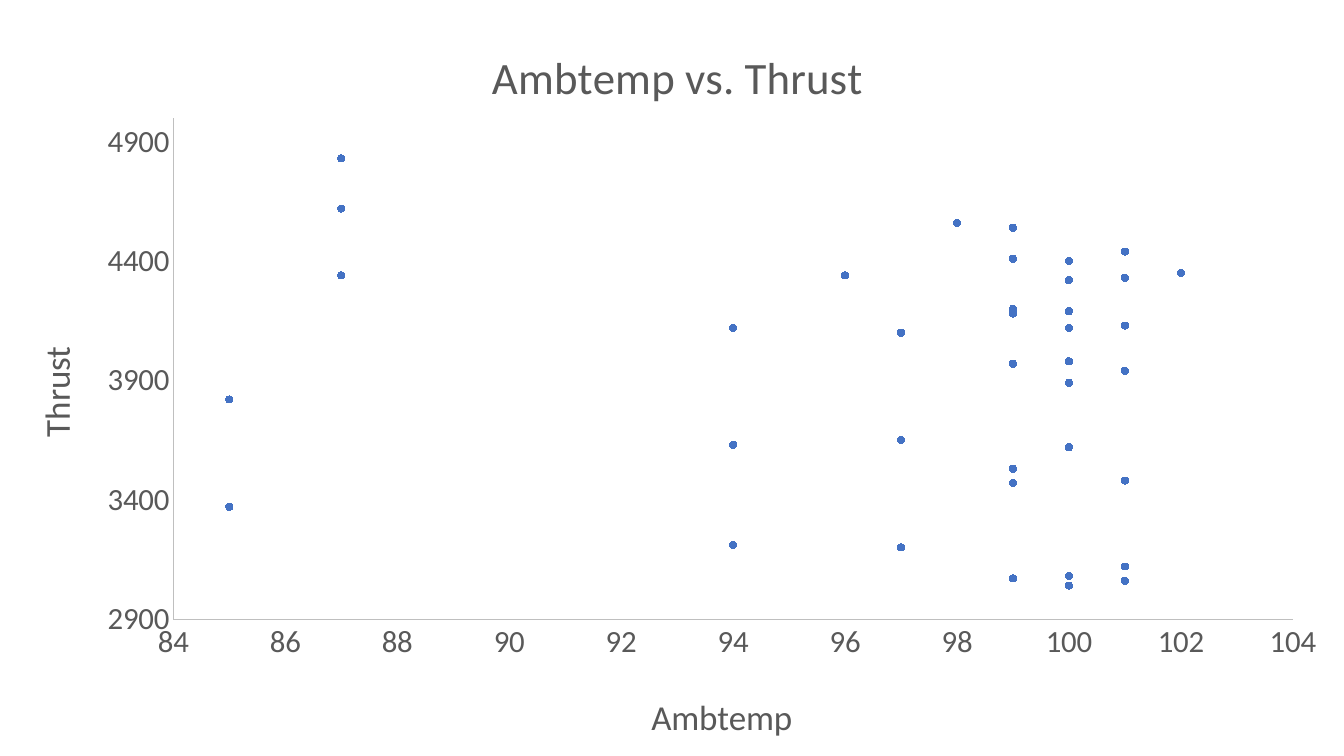
import pptx
import pptx.util
import pptx.oxml
import pptx.oxml.ns
import pptx.chart.data
import pptx.dml.color
import pptx.enum.chart
import pptx.enum.dml

THEME = {
    "font": "Calibri",
    "text": "595959",
    "axis": "BFBFBF",
    "dot": "4472C4",
    "head": 32,
    "name": 25,
    "tick": 22,
    "line": 0.75,
    "size": 5,
}

THRUST = [
    4540, 4320, 4100, 3650, 3200, 4830, 4620, 4340, 3820, 3370,
    4440, 4190, 3980, 3620, 3120, 4560, 4340, 4120, 3630, 3210,
    4330, 4120, 3890, 3470, 3040, 4410, 4200, 3970, 3530, 3070,
    4350, 4130, 3940, 3480, 3060, 4400, 4180, 3970, 3530, 3080,
]
AMBTEMP = [
    99, 100, 97, 97, 97, 87, 87, 87, 85, 85,
    101, 100, 100, 100, 101, 98, 96, 94, 94, 94,
    101, 100, 100, 99, 100, 99, 99, 99, 99, 99,
    102, 101, 101, 101, 101, 100, 99, 99, 99, 100,
]


def apply(item, values):
    for name, value in values.items():
        setattr(item, name, value)


def place(node, index, **spots):
    tag = pptx.oxml.ns.qn("c:layout")
    for old in node.findall(tag):
        node.remove(old)
    rows = "".join(f'<c:{name} val="{value}"/>' for name, value in spots.items())
    node.insert(index, pptx.oxml.parse_xml(
        f'<c:layout {pptx.oxml.ns.nsdecls("c")}>'
        f'<c:manualLayout>{rows}</c:manualLayout></c:layout>'))


class Deck:
    def __init__(self, theme, wide, high):
        self.theme = theme
        self.deck = pptx.Presentation()
        apply(self.deck, {
            "slide_width": pptx.util.Inches(wide),
            "slide_height": pptx.util.Inches(high),
        })
        self.slide = self.deck.slides.add_slide(self.deck.slide_layouts[6])

    def color(self, key):
        return pptx.dml.color.RGBColor.from_string(self.theme[key])

    def style(self, font, size):
        apply(font, {
            "name": self.theme["font"],
            "size": pptx.util.Pt(self.theme[size]),
            "bold": False,
        })
        font.color.rgb = self.color("text")

    def title(self, title, text, size, left, top):
        title.text_frame.text = text
        self.style(title.text_frame.paragraphs[0].runs[0].font, size)
        place(title._element, 1, xMode="edge", yMode="edge", x=left, y=top)

    def axis(self, axis, text, low, high, step, left, top):
        none = pptx.enum.chart.XL_TICK_MARK.NONE
        apply(axis, {
            "minimum_scale": low,
            "maximum_scale": high,
            "major_unit": step,
            "major_tick_mark": none,
            "minor_tick_mark": none,
            "has_major_gridlines": False,
            "crosses": pptx.enum.chart.XL_AXIS_CROSSES.MINIMUM,
        })
        apply(axis.tick_labels, {
            "number_format": "General",
            "number_format_is_linked": False,
        })
        self.style(axis.tick_labels.font, "tick")
        axis.format.line.color.rgb = self.color("axis")
        axis.format.line.width = pptx.util.Pt(self.theme["line"])
        self.title(axis.axis_title, text, "name", left, top)

    def scatter(self, name, across, up):
        data = pptx.chart.data.XyChartData()
        series = data.add_series(name)
        for point in zip(across, up):
            series.add_data_point(*point)
        chart = self.slide.shapes.add_chart(
            pptx.enum.chart.XL_CHART_TYPE.XY_SCATTER, 0, 0,
            self.deck.slide_width, self.deck.slide_height, data).chart
        apply(chart, {"has_legend": False, "has_title": True})
        self.style(chart.font, "tick")
        plot = chart.plots[0]
        plot.vary_by_categories = False
        dots = plot.series[0]
        dots.smooth = False
        dots.format.line.fill.background()
        apply(dots.marker, {
            "style": pptx.enum.chart.XL_MARKER_STYLE.CIRCLE,
            "size": self.theme["size"],
        })
        look = dots.marker.format
        look.fill.solid()
        for part in (look.fill.fore_color, look.line.color):
            part.rgb = self.color("dot")
        place(plot._element.getparent(), 0, layoutTarget="inner",
              xMode="edge", yMode="edge", x=0.129, y=0.156, w=0.833, h=0.663)
        return chart


deck = Deck(THEME, 13.33, 7.5)
chart = deck.scatter("Series 1", AMBTEMP, THRUST)
deck.title(chart.chart_title, "Ambtemp vs. Thrust", "head", 0.36, 0.05)
deck.axis(chart.category_axis, "Ambtemp", 84, 104, 2, 0.48, 0.91)
deck.axis(chart.value_axis, "Thrust", 2900, 5000, 500, 0.02, 0.45)
deck.deck.save("out.pptx")
